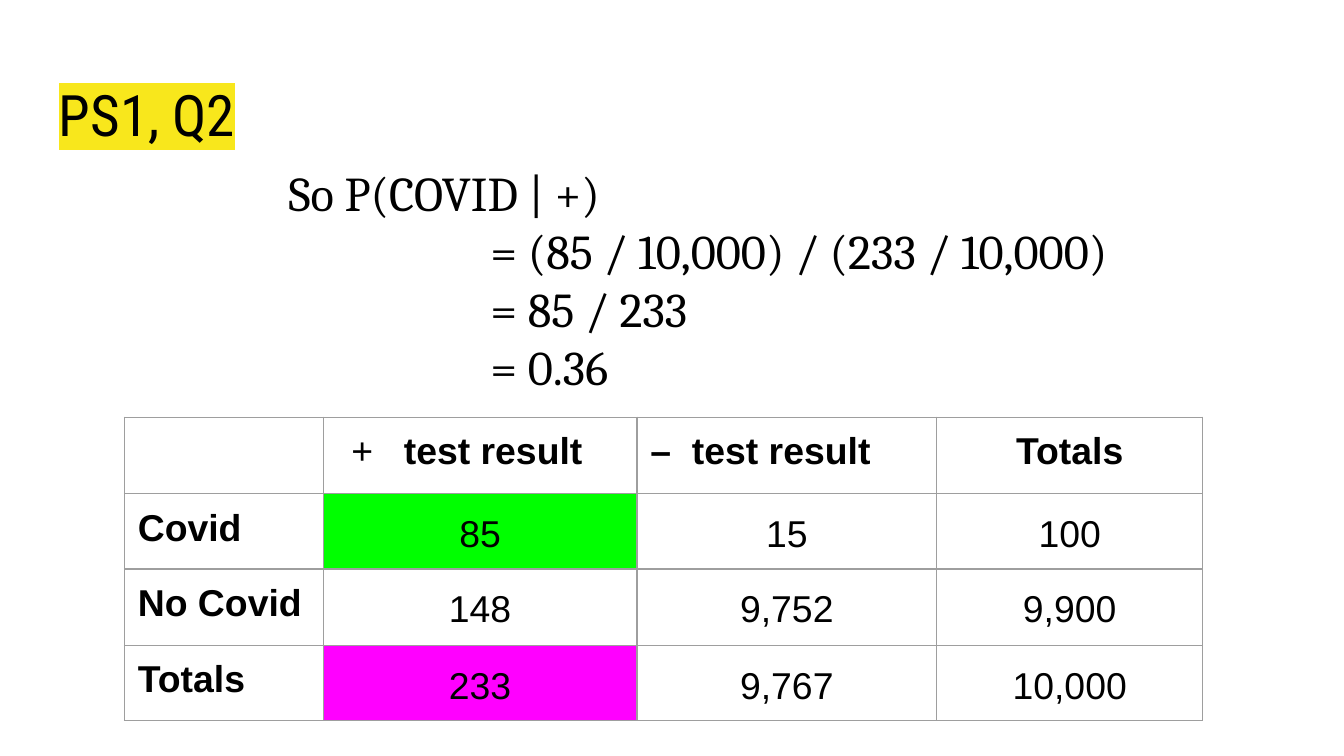
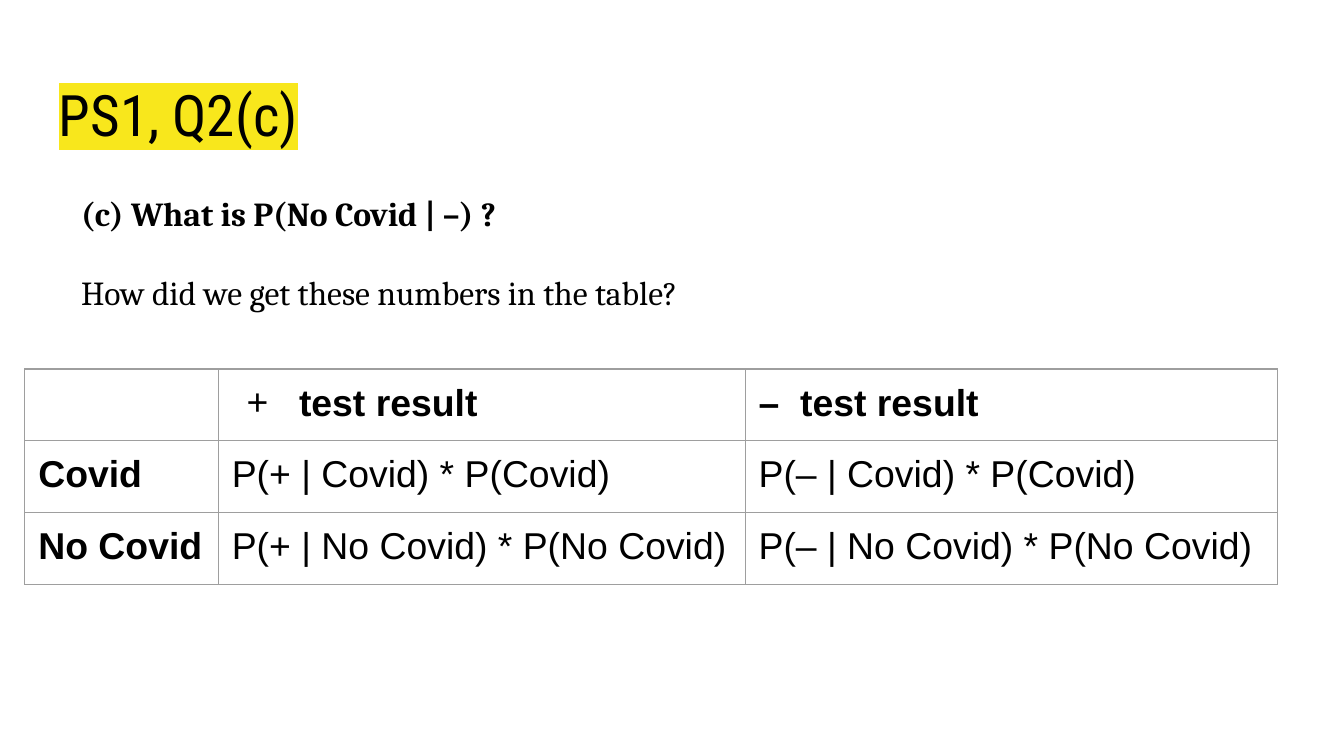
"""Build two slides on conditional probability with Covid test tables."""
from lxml.etree import SubElement
from pptx import Presentation
from pptx.dml.color import RGBColor
from pptx.enum.text import MSO_ANCHOR, MSO_AUTO_SIZE, PP_ALIGN
from pptx.oxml.ns import qn
from pptx.util import Pt

PX = 4572
COLOURS = {
    "page": "FFFFFF",
    "ink": "000000",
    "marker": "F8E71C",
    "border": "9E9E9E",
    "joint": "00FF00",
    "total": "FF00FF",
}
SANS, SERIF, HEADING = "Arial", "Cambria", "Roboto Condensed"
INSET = 20
PLUS_RESULT = dict(text="test result", bold=True, bullet="+")
MINUS_RESULT = dict(text="–  test result", bold=True)


def label(text, **style):
    return dict(text=text, bold=True, **style)


def count(text, fill=None):
    return dict(text=text, align=PP_ALIGN.CENTER, spacing=1.15, fill=fill, bottom=15)


class Deck:
    def __init__(self):
        self.prs = Presentation()
        self.prs.slide_width, self.prs.slide_height = 2000 * PX, 1125 * PX
        self.slide = None

    def rgb(self, name):
        return RGBColor.from_string(COLOURS[name])

    def colour_xml(self, parent, tag, name):
        holder = SubElement(parent, qn(tag))
        SubElement(holder, qn("a:srgbClr"), val=COLOURS[name])
        return holder

    def new_slide(self, title):
        self.slide = self.prs.slides.add_slide(self.prs.slide_layouts[6])
        background = self.slide.background.fill
        background.solid()
        background.fore_color.rgb = self.rgb("page")
        frame = self.text_frame(68, 98, 1864, 126)
        self.add_run(frame.paragraphs[0], title, 30.6, HEADING, highlight="marker")

    def text_frame(self, left, top, width, height):
        box = self.slide.shapes.add_textbox(left * PX, top * PX, width * PX, height * PX)
        frame = box.text_frame
        frame.word_wrap = True
        frame.vertical_anchor = MSO_ANCHOR.TOP
        self.set_margins(frame)
        return frame

    def set_margins(self, holder, bottom=INSET):
        holder.margin_left = holder.margin_right = holder.margin_top = INSET * PX
        holder.margin_bottom = bottom * PX

    def add_run(self, paragraph, text, size, font, bold=False, highlight=None):
        run = paragraph.add_run()
        run.text = text
        run.font.size, run.font.bold = Pt(size), bold
        run.font.color.rgb = self.rgb("ink")
        if highlight:
            self.colour_xml(run._r.get_or_add_rPr(), "a:highlight", highlight)
        run.font.name = font

    def indent(self, paragraph, left, first):
        properties = paragraph._p.get_or_add_pPr()
        properties.set("marL", str(left * PX))
        properties.set("indent", str(first * PX))
        return properties

    def body(self, left, top, width, height, size, lines):
        frame = self.text_frame(left, top, width, height)
        frame.auto_size = MSO_AUTO_SIZE.SHAPE_TO_FIT_TEXT
        for number, line in enumerate(lines):
            paragraph = frame.add_paragraph() if number else frame.paragraphs[0]
            if line.get("indent"):
                self.indent(paragraph, *line["indent"])
            if line.get("before"):
                paragraph.space_before = Pt(line["before"])
            self.add_run(paragraph, line["text"], size, SERIF, line.get("bold", False))

    def table(self, left, top, widths, heights, rows):
        table = self.slide.shapes.add_table(
            len(rows), len(widths), left * PX, top * PX,
            sum(widths) * PX, sum(heights) * PX).table
        table.first_row = table.horz_banding = False
        for column, width in zip(table.columns, widths):
            column.width = width * PX
        for row, height, contents in zip(table.rows, heights, rows):
            row.height = height * PX
            for cell, content in zip(row.cells, contents):
                self.cell(cell, **content)

    def cell(self, cell, text="", bold=False, align=None, spacing=None,
             fill=None, bullet=None, bottom=INSET):
        self.set_margins(cell, bottom)
        cell.vertical_anchor = MSO_ANCHOR.TOP
        for side in "LRTB":
            edge = SubElement(cell._tc.get_or_add_tcPr(), qn(f"a:ln{side}"), w=str(Pt(0.75)))
            self.colour_xml(edge, "a:solidFill", "border")
        if fill:
            cell.fill.solid()
            cell.fill.fore_color.rgb = self.rgb(fill)
        else:
            cell.fill.background()
        paragraph = cell.text_frame.paragraphs[0]
        if bullet:
            properties = self.indent(paragraph, 100, -78)
            self.colour_xml(properties, "a:buClr", "ink")
            SubElement(properties, qn("a:buSzPts"), val="2000")
            SubElement(properties, qn("a:buFont"), typeface=SANS)
            SubElement(properties, qn("a:buChar"), char=bullet)
        if align:
            paragraph.alignment = align
        if spacing:
            paragraph.line_spacing = spacing
        if text:
            self.add_run(paragraph, text, 20, SANS, bold)


def main():
    deck = Deck()

    deck.new_slide("PS1, Q2")
    counts = [
        [{}, PLUS_RESULT, MINUS_RESULT, label("Totals", align=PP_ALIGN.CENTER)],
        [label("Covid"), count("85", "joint"), count("15"), count("100")],
        [label("No Covid"), count("148"), count("9,752"), count("9,900")],
        [label("Totals"), count("233", "total"), count("9,767"), count("10,000")],
    ]
    deck.table(185, 621, [296, 467, 446, 396], [114, 84, 114, 104], counts)
    steps = ["= (85 / 10,000) / (233 / 10,000)", "= 85 / 233", "= 0.36"]
    deck.body(410, 222, 1438, 390, 26, [
        dict(text="So P(COVID | +)"),
        *(dict(text=step, indent=(200, 100)) for step in steps),
    ])

    deck.new_slide("PS1, Q2(c)")
    deck.body(101, 267, 1830, 222, 18, [
        dict(text="(c) What is P(No Covid | –) ?", bold=True),
        dict(text="How did we get these numbers in the table?", before=21),
    ])
    formulas = [[{}, PLUS_RESULT, MINUS_RESULT]]
    for state in ("Covid", "No Covid"):
        products = [dict(text=f"P({sign} | {state}) * P({state})") for sign in "+–"]
        formulas.append([label(state), *products])
    deck.table(37, 549, [288, 784, 792], [84] * 3, formulas)

    deck.prs.save("out.pptx")


if __name__ == "__main__":
    main()
